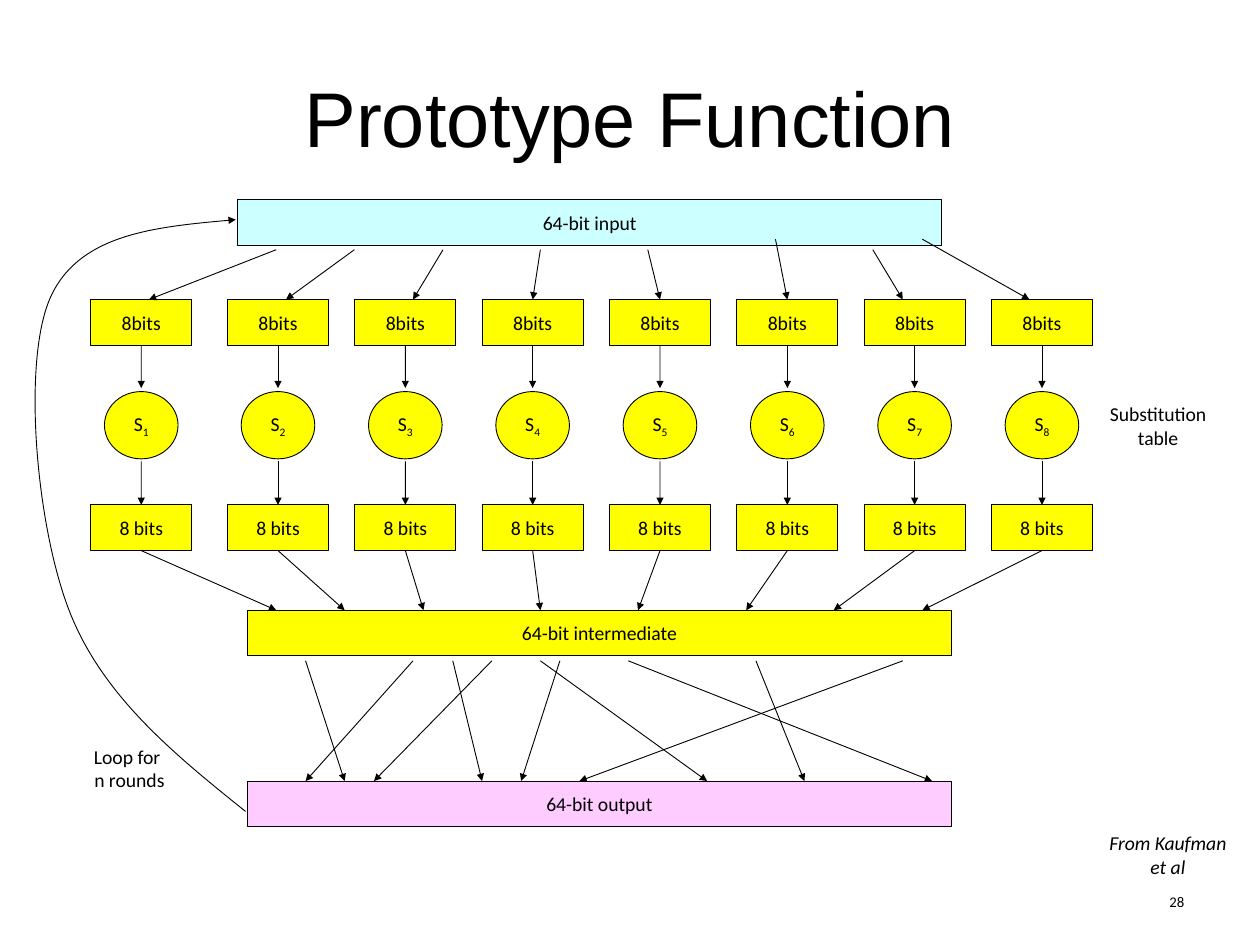
"""Build the slide on the prototype function of a 64-bit block cipher."""
from dataclasses import dataclass

from lxml.etree import SubElement
from pptx import Presentation
from pptx.dml.color import RGBColor
from pptx.enum.shapes import MSO_CONNECTOR, MSO_SHAPE
from pptx.enum.text import MSO_ANCHOR, PP_ALIGN
from pptx.oxml.ns import qn
from pptx.util import Cm, Pt


@dataclass(frozen=True)
class Theme:
    ink: RGBColor = RGBColor(0, 0, 0)
    input: RGBColor = RGBColor(0xCC, 0xFF, 0xFF)
    stage: RGBColor = RGBColor(0xFF, 0xFF, 0)
    output: RGBColor = RGBColor(0xFF, 0xCC, 0xFF)
    heading_font: str = "Arial"
    body_font: str = "Calibri"
    title: Pt = Pt(63)
    body: Pt = Pt(16)
    page: Pt = Pt(12)
    stroke: Pt = Pt(0.75)


THEME = Theme()
BAR_WIDTH, BOX_WIDTH, BOX_HEIGHT = 20.19, 2.9, 1.31
CIRCLE_WIDTH, CIRCLE_HEIGHT = 2.11, 1.93
INPUT_TOP, UPPER_TOP, CIRCLE_TOP, LOWER_TOP = 5.72, 8.59, 11.23, 14.48
MIDDLE_TOP, OUTPUT_TOP = 17.5, 22.4
AXES = [4.05] + [7.97 + 3.65 * i for i in range(7)]
SPLIT_STARTS = [(7.92, 7.16), (10.16, 7.16), (12.7, 7.16), (15.49, 7.16),
                (18.57, 7.16), (22.23, 6.86), (25.02, 7.16), (26.44, 6.86)]
SPLIT_ENDS = [4.27, 8.2, 11.84, None, None, None, 25.88, 29.51]
MERGE_ENDS = [7.92, 9.88, 12.14, 15.49, 18.29, 21.39, 23.9, 26.44]
PERMUTATION = [(8.76, 9.88), (11.84, 8.76), (14.1, 10.72), (12.98, 13.82),
               (16.05, 14.94), (15.49, 20.27), (18.01, 26.72),
               (25.88, 16.61), (21.67, 23.06)]
LOOP = [(7.04, 23.27), (4.98, 21.62), (2.92, 19.94), (1.98, 17.5),
        (1.04, 15.06), (0.64, 10.46), (1.42, 8.59),
        (2.21, 6.73), (4.5, 6.5), (6.76, 6.3)]


def style(paragraph, size=THEME.body, font=THEME.body_font, align=PP_ALIGN.CENTER, italic=None):
    """Set the alignment and font of a paragraph."""
    paragraph.alignment = align
    paragraph.font.name = font
    paragraph.font.size = size
    paragraph.font.italic = italic
    paragraph.font.color.rgb = THEME.ink


def add_caption(slide, lines, left, top, width, height, anchor=MSO_ANCHOR.TOP, **look):
    """Add free text, one paragraph for each line."""
    frame = slide.shapes.add_textbox(Cm(left), Cm(top), Cm(width), Cm(height)).text_frame
    frame.word_wrap = True
    frame.vertical_anchor = anchor
    frame.margin_left = frame.margin_right = Cm(0.36 if anchor == MSO_ANCHOR.MIDDLE else 0.25)
    frame.text = "\n".join(lines)
    for paragraph in frame.paragraphs:
        style(paragraph, **look)


def add_block(slide, label, fill, left, top, width, height, kind=MSO_SHAPE.RECTANGLE, subscript=""):
    """Add an outlined shape with a centred label."""
    block = slide.shapes.add_shape(kind, Cm(left), Cm(top), Cm(width), Cm(height))
    block.shadow.inherit = False
    block.fill.solid()
    block.fill.fore_color.rgb = fill
    block.line.color.rgb = THEME.ink
    block.line.width = THEME.stroke
    block.text_frame.word_wrap = False
    block.text_frame.vertical_anchor = MSO_ANCHOR.MIDDLE
    paragraph = block.text_frame.paragraphs[0]
    paragraph.add_run().text = label
    if subscript:
        index = paragraph.add_run()
        index.text = subscript
        index.font.color.rgb = THEME.ink
        index._r.get_or_add_rPr().set("baseline", "-25000")
    style(paragraph)
    return block


def draw_arrow_line(shape):
    """Give a connector or outline a thin stroke with an arrowhead at its end."""
    shape.line.color.rgb = THEME.ink
    shape.line.width = THEME.stroke
    stroke = shape.element.spPr.find(qn("a:ln"))
    SubElement(stroke, qn("a:tailEnd"), type="triangle")


def add_arrow(slide, start, end, source=None, target=None):
    """Add an arrow, joined below its source and above its target if given."""
    arrow = slide.shapes.add_connector(MSO_CONNECTOR.STRAIGHT, *map(Cm, (*start, *end)))
    if source is not None:
        arrow.begin_connect(source, 2)
    if target is not None:
        arrow.end_connect(target, 0)
    draw_arrow_line(arrow)
    SubElement(arrow.element.spPr, qn("a:effectLst"))


def add_loop(slide, points):
    """Add a curved arrow of cubic segments through the given control points."""
    corners = [(Cm(x), Cm(y)) for x, y in points]
    builder = slide.shapes.build_freeform(*corners[0])
    builder.add_line_segments(corners[1:], close=False)
    loop = builder.convert_to_shape()
    loop.shadow.inherit = False
    loop.fill.background()
    draw_arrow_line(loop)
    outline = next(loop.element.iter(qn("a:path")))
    steps = outline.findall(qn("a:lnTo"))
    for first in range(0, len(steps), 3):
        curve = SubElement(outline, qn("a:cubicBezTo"))
        for step in steps[first:first + 3]:
            curve.append(step[0])
            outline.remove(step)


def add_column(slide, number, axis):
    """Add one substitution column and return its upper and lower boxes."""
    box_left = axis - BOX_WIDTH / 2
    upper = add_block(slide, "8bits", THEME.stage, box_left, UPPER_TOP, BOX_WIDTH, BOX_HEIGHT)
    add_block(slide, "S", THEME.stage, axis - CIRCLE_WIDTH / 2, CIRCLE_TOP,
              CIRCLE_WIDTH, CIRCLE_HEIGHT, MSO_SHAPE.OVAL, str(number))
    lower = add_block(slide, "8 bits", THEME.stage, box_left, LOWER_TOP, BOX_WIDTH, BOX_HEIGHT)
    add_arrow(slide, (axis, UPPER_TOP + BOX_HEIGHT), (axis, 11.13), source=upper)
    add_arrow(slide, (axis, 13.23), (axis, LOWER_TOP), target=lower)
    return upper, lower


def main():
    """Build and save the slide."""
    deck = Presentation()
    deck.slide_width, deck.slide_height = Cm(36.12), Cm(27.1)
    slide = deck.slides.add_slide(deck.slide_layouts[6])

    add_caption(slide, ["Prototype Function"], 1.8, 1.09, 32.51, 4.52, MSO_ANCHOR.MIDDLE,
                size=THEME.title, font=THEME.heading_font)
    add_caption(slide, ["28"], 25.88, 25.12, 8.43, 1.45, MSO_ANCHOR.MIDDLE,
                size=THEME.page, align=PP_ALIGN.RIGHT)

    for label, fill, left, top in [
        ("64-bit input", THEME.input, 6.81, INPUT_TOP),
        ("64-bit intermediate", THEME.stage, 7.09, MIDDLE_TOP),
        ("64-bit output", THEME.output, 7.09, OUTPUT_TOP),
    ]:
        add_block(slide, label, fill, left, top, BAR_WIDTH, BOX_HEIGHT)

    columns = zip(AXES, SPLIT_STARTS, SPLIT_ENDS, MERGE_ENDS)
    for number, (axis, split_start, split_end, merge_end) in enumerate(columns, 1):
        upper, lower = add_column(slide, number, axis)
        add_arrow(slide, split_start, (split_end or axis, UPPER_TOP),
                  target=None if split_end else upper)
        add_arrow(slide, (axis, LOWER_TOP + BOX_HEIGHT), (merge_end, MIDDLE_TOP), source=lower)

    for bit_from, bit_to in PERMUTATION:
        add_arrow(slide, (bit_from, 18.95), (bit_to, OUTPUT_TOP))

    add_loop(slide, LOOP)
    add_caption(slide, ["Loop for \vn rounds"], 1.47, 21.23, 4.48, 1.83)
    add_caption(slide, ["Substitution table"], 30.96, 11.4, 4.48, 1.83)
    add_caption(slide, ["From Kaufman", "et al"], 31.24, 23.7, 4.48, 1.63, italic=True)
    deck.save("out.pptx")


if __name__ == "__main__":
    main()
